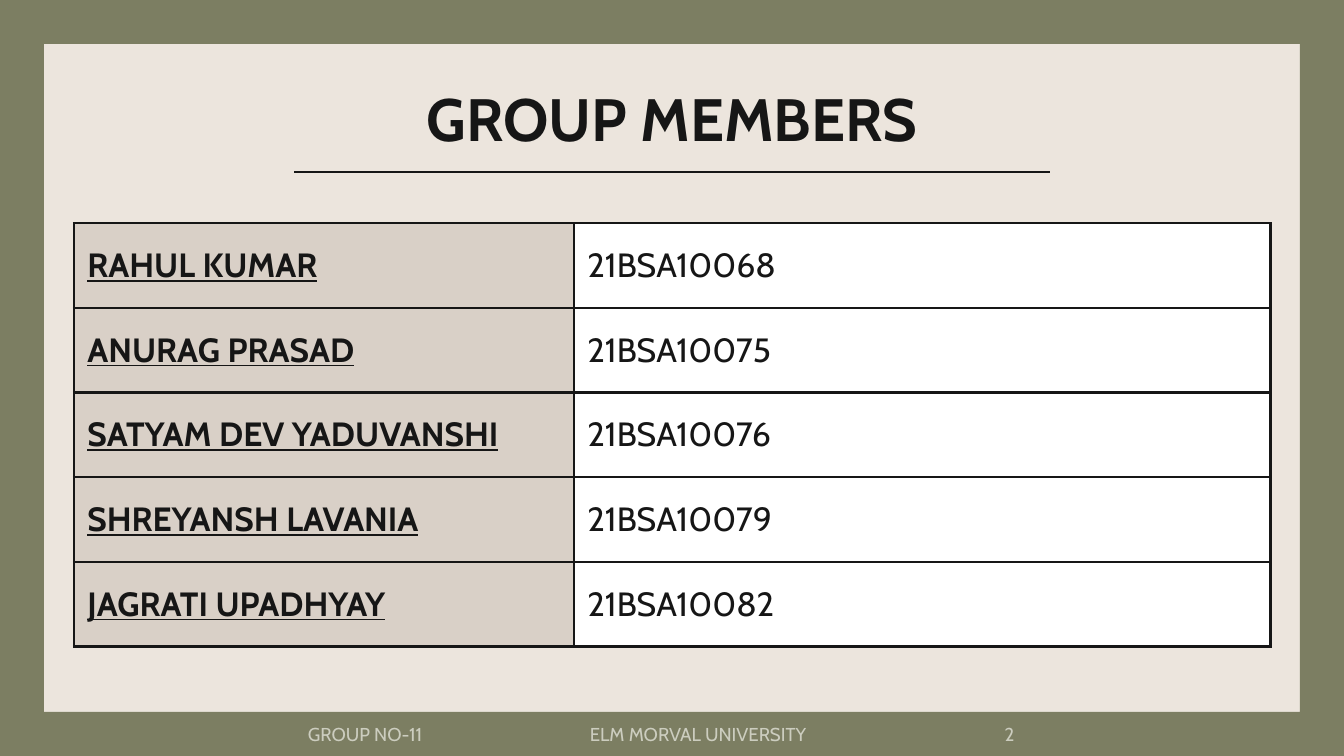
from dataclasses import dataclass

from lxml.etree import SubElement
from pptx import Presentation
from pptx.dml.color import RGBColor
from pptx.enum.shapes import MSO_CONNECTOR, MSO_SHAPE
from pptx.enum.text import MSO_ANCHOR as Anchor, MSO_AUTO_SIZE as AutoSize, PP_ALIGN as Align
from pptx.oxml.ns import qn
from pptx.util import Cm, Pt


@dataclass(frozen=True)
class Theme:
    font: str = "Cabin"
    background: str = "ECE5DD"
    frame: str = "7C7E62"
    ink: str = "161616"
    name_fill: str = "D9D0C7"
    number_fill: str = "FFFFFF"
    footer: str = "CCCDBF"
    title_size: int = 32
    table_size: int = 18
    footer_size: int = 10
    line_width: float = 1.5


THEME = Theme()
WIDTH, HEIGHT = 25.4, 14.29
INSET = 0.25

MEMBERS = [
    ("RAHUL KUMAR", "21BSA10068"),
    ("ANURAG PRASAD", "21BSA10075"),
    ("SATYAM DEV YADUVANSHI", "21BSA10076"),
    ("SHREYANSH LAVANIA", "21BSA10079"),
    ("JAGRATI UPADHYAY", "21BSA10082"),
]
FOOTER = ["GROUP NO-11", "ELM MORVAL UNIVERSITY", "2"]


def set_fill(fill, color):
    fill.solid()
    fill.fore_color.rgb = RGBColor.from_string(color)


def set_margins(target, left=INSET, top=INSET, right=INSET, bottom=INSET):
    target.margin_left, target.margin_top = Cm(left), Cm(top)
    target.margin_right, target.margin_bottom = Cm(right), Cm(bottom)


def write(frame, text, *, size, color=THEME.ink, bold=False, underline=False,
          align=Align.LEFT):
    """Put one formatted paragraph into a text frame and return it."""
    paragraph = frame.paragraphs[0]
    paragraph.alignment = align
    run = paragraph.add_run()
    run.text = text
    font = run.font
    font.name, font.size = THEME.font, Pt(size)
    font.bold, font.underline = bold, underline
    font.color.rgb = RGBColor.from_string(color)
    return paragraph


def add_frame(slide):
    shape = slide.shapes.add_shape(
        MSO_SHAPE.FRAME, Cm(-0.03), Cm(-0.03), Cm(WIDTH + 0.06), Cm(HEIGHT + 0.06))
    shape.adjustments[0] = 0.06
    shape.shadow.inherit = False
    set_fill(shape.fill, THEME.frame)
    shape.line.fill.background()


def add_footer(slide, parts, tab_stops):
    box = slide.shapes.add_textbox(Cm(0.46), Cm(13.49), Cm(24.08), Cm(0.76))
    frame = box.text_frame
    frame.word_wrap = True
    frame.vertical_anchor = Anchor.MIDDLE
    set_margins(frame, left=5.36, top=0, bottom=0)
    paragraph = write(frame, "\t".join(parts), size=THEME.footer_size, color=THEME.footer)
    # Centred tab stops spread the parts over the line
    tabs = SubElement(paragraph._p.get_or_add_pPr(), qn("a:tabLst"))
    for stop in tab_stops:
        SubElement(tabs, qn("a:tab"), pos=str(Cm(stop)), algn="ctr")


def fill_title(slide, text):
    title = slide.shapes.title
    title.left, title.top, title.width, title.height = Cm(2), Cm(1.3), Cm(21.4), Cm(1.6)
    frame = title.text_frame
    frame.auto_size = AutoSize.NONE
    frame.vertical_anchor = Anchor.TOP
    set_margins(frame)
    write(frame, text, size=THEME.title_size, bold=True, align=Align.CENTER)


def set_borders(cell):
    properties = cell._tc.get_or_add_tcPr()
    for position, side in enumerate(("a:lnL", "a:lnR", "a:lnT", "a:lnB")):
        line = SubElement(properties, qn(side), w=str(Pt(THEME.line_width)))
        properties.insert(position, line)
        solid = SubElement(line, qn("a:solidFill"))
        SubElement(solid, qn("a:srgbClr"), val=THEME.ink)


def add_member_table(slide, members):
    column_widths, row_height = (9.45, 13.16), 1.6
    table = slide.shapes.add_table(
        len(members), len(column_widths), Cm(1.4), Cm(4.22),
        Cm(sum(column_widths)), Cm(row_height * len(members))).table
    table.first_row = table.horz_banding = False
    for column, width in zip(table.columns, column_widths):
        column.width = Cm(width)
    for row, member in zip(table.rows, members):
        row.height = Cm(row_height)
        for index, (cell, text) in enumerate(zip(row.cells, member)):
            is_name = index == 0
            cell.vertical_anchor = Anchor.MIDDLE
            set_margins(cell)
            set_fill(cell.fill, THEME.name_fill if is_name else THEME.number_fill)
            set_borders(cell)
            write(cell.text_frame, text, size=THEME.table_size,
                  bold=is_name, underline=is_name)


def add_rule(slide, left, right, top):
    rule = slide.shapes.add_connector(
        MSO_CONNECTOR.STRAIGHT, Cm(left), Cm(top), Cm(right), Cm(top))
    rule.line.width = Pt(THEME.line_width)
    rule.line.color.rgb = RGBColor.from_string(THEME.ink)
    SubElement(rule._element.spPr, qn("a:effectLst"))


def main():
    presentation = Presentation()
    presentation.slide_width, presentation.slide_height = Cm(WIDTH), Cm(HEIGHT)
    title_only = presentation.slide_layouts[5]
    slide = presentation.slides.add_slide(title_only)

    # Backdrop and footer
    set_fill(slide.background.fill, THEME.background)
    add_frame(slide)
    add_footer(slide, FOOTER, tab_stops=(7.37, 13.26))

    # Heading with its rule
    fill_title(slide, "GROUP MEMBERS")
    add_rule(slide, left=5.56, right=WIDTH - 5.56, top=3.25)

    # Members and registration numbers
    add_member_table(slide, MEMBERS)

    presentation.save("out.pptx")


if __name__ == "__main__":
    main()
